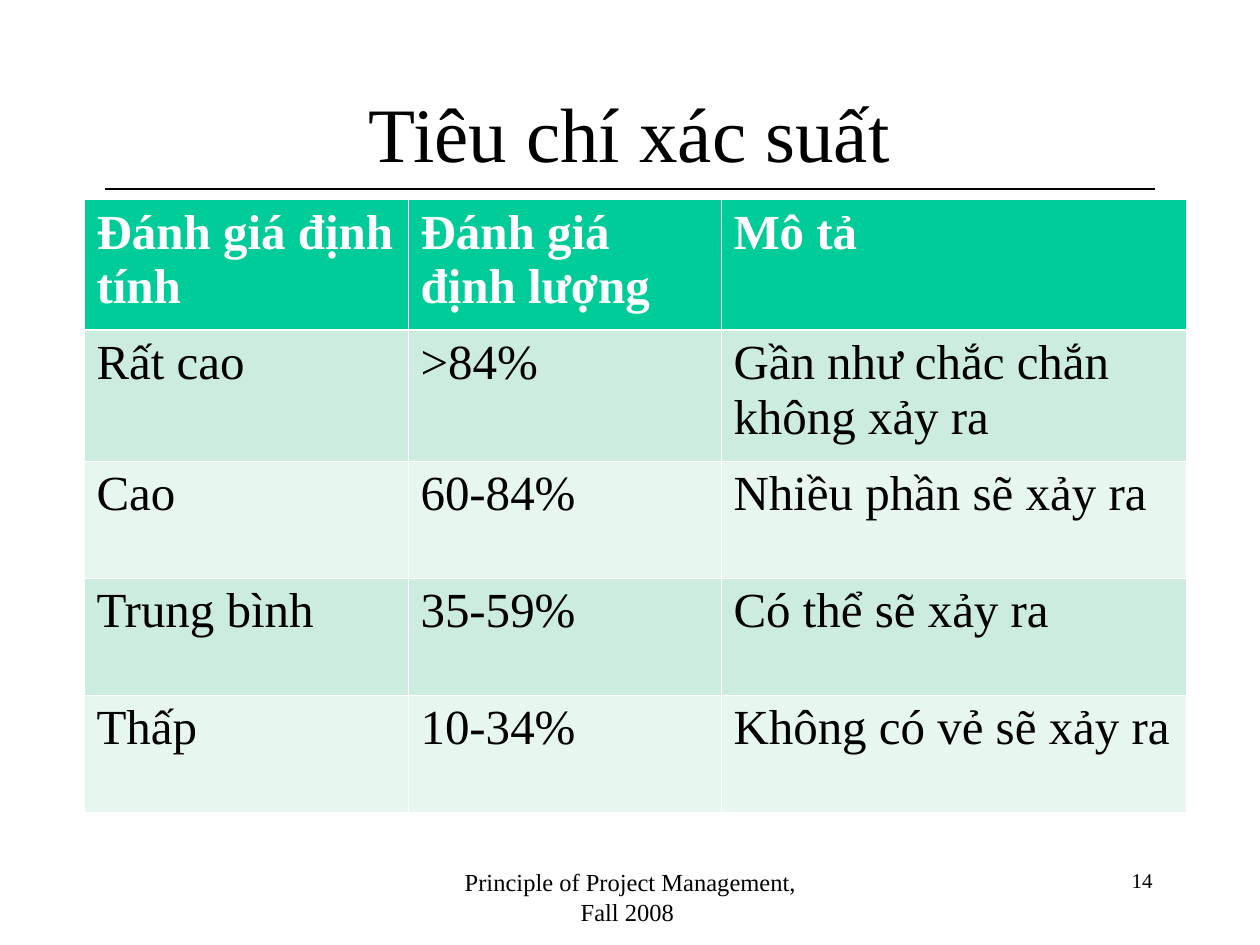
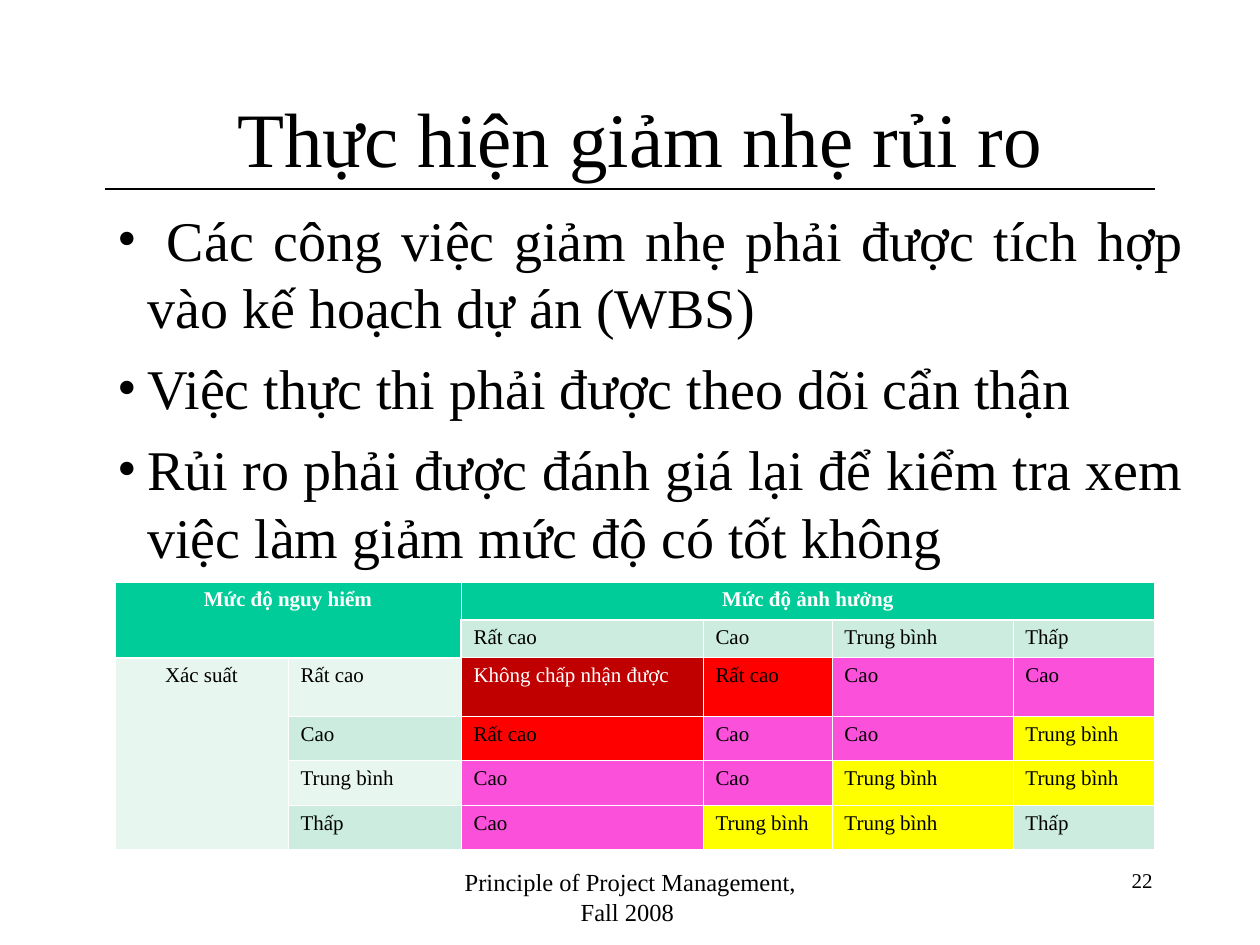
from lxml import etree
from pptx import Presentation
from pptx.dml.color import RGBColor
from pptx.enum.shapes import MSO_CONNECTOR
from pptx.enum.text import MSO_ANCHOR, PP_ALIGN
from pptx.oxml.ns import qn
from pptx.util import Pt

LEFT, MID, RIGHT, JUST = PP_ALIGN.LEFT, PP_ALIGN.CENTER, PP_ALIGN.RIGHT, PP_ALIGN.JUSTIFY
TOP, CENTRE = MSO_ANCHOR.TOP, MSO_ANCHOR.MIDDLE
STRAIGHT = MSO_CONNECTOR.STRAIGHT

BLACK = RGBColor(0x00, 0x00, 0x00)
WHITE = RGBColor(0xFF, 0xFF, 0xFF)
GREEN = RGBColor(0x00, 0xCC, 0x99)
MINT = RGBColor(0xCB, 0xEC, 0xDE)
PALE = RGBColor(0xE7, 0xF6, 0xEF)
MAROON = RGBColor(0xC0, 0x00, 0x00)
RED = RGBColor(0xFF, 0x00, 0x00)
PINK = RGBColor(0xFA, 0x50, 0xDA)
YELLOW = RGBColor(0xFF, 0xFF, 0x00)
FILLS = {"G": GREEN, "M": MINT, "P": PALE, "D": MAROON, "R": RED, "K": PINK, "Y": YELLOW}

FONT = "Times New Roman"
FOOTER = "Principle of Project Management, Fall 2008 "
SCALE = 914400 / 126
THIN, THICK = Pt(0.45), Pt(1.47)
SIDES = {"L": (0, -1), "R": (0, 1), "T": (-1, 0), "B": (1, 0)}


def write(frame, text, size=12, color=BLACK, bold=False, align=LEFT,
          anchor=TOP, before=0, bullet=0):
    """Fill a text frame, one paragraph a line; bullet is the hanging indent in px."""
    frame.word_wrap = True
    frame.vertical_anchor = anchor
    for i, line in enumerate(text.split("\n")):
        para = frame.add_paragraph() if i else frame.paragraphs[0]
        para.alignment, para.line_spacing, para.space_before = align, 1.0, Pt(before)
        run = para.add_run()
        run.text = line
        run.font.name, run.font.size, run.font.bold = FONT, Pt(size), bold
        run.font.color.rgb = color
        if bullet:
            props = para._p.get_or_add_pPr()
            indent = round(bullet * SCALE)
            props.set("marL", str(indent))
            props.set("indent", str(-indent))
            etree.SubElement(props, qn("a:buFont"), typeface=FONT)
            etree.SubElement(props, qn("a:buChar"), char="•")


def tabulate(slide, x, y, cols, rows, texts, codes, size, spans=()):
    """Add a table; codes holds one fill letter a cell, spans the merged corners."""
    box = [round(n * SCALE) for n in (x, y, sum(cols), sum(rows))]
    table = slide.shapes.add_table(len(rows), len(cols), *box).table
    table.first_row = table.horz_banding = False
    for col, width in zip(table.columns, cols):
        col.width = round(width * SCALE)
    for row, height in zip(table.rows, rows):
        row.height = round(height * SCALE)
    for r, line in enumerate(codes):
        for c, code in enumerate(line):
            cell = table.cell(r, c)
            props = cell._tc.get_or_add_tcPr()
            for side, (down, over) in SIDES.items():
                near_r, near_c = r + down, c + over
                inside = 0 <= near_r < len(rows) and 0 <= near_c < len(cols)
                edge = inside and (code == "G") != (codes[near_r][near_c] == "G")
                line_xml = etree.SubElement(props, qn("a:ln" + side),
                                            w=str(THICK if edge else THIN))
                solid = etree.SubElement(line_xml, qn("a:solidFill"))
                etree.SubElement(solid, qn("a:srgbClr"), val=str(WHITE))
            cell.fill.solid()
            cell.fill.fore_color.rgb = FILLS[code]
    for r, c, last_r, last_c in spans:
        table.cell(r, c).merge(table.cell(last_r, last_c))
    for r, line in enumerate(texts):
        for c, text in enumerate(line):
            if text:
                cell = table.cell(r, c)
                write(cell.text_frame, text, size=size,
                      color=WHITE if codes[r][c] in "GD" else BLACK,
                      bold=codes[r][c] == "G",
                      align=MID if cell.is_merge_origin else LEFT)


deck = Presentation()
deck.slide_width, deck.slide_height = round(1260 * SCALE), round(945 * SCALE)

heads = [
    ("14", "Tiêu chí xác suất", (94, 53, 1071, 157), CENTRE),
    ("22", "Thực hiện giảm nhẹ rủi ro", (94, 84, 1092, 106), TOP),
]
slides = []
for page, title, place, anchor in heads:
    slide = deck.slides.add_slide(deck.slide_layouts[6])
    slides.append(slide)
    ends = [round(n * SCALE) for n in (105, 189, 1155, 189)]
    rule = slide.shapes.add_connector(STRAIGHT, *ends)
    rule.line.color.rgb, rule.line.width = BLACK, Pt(0.75)
    etree.SubElement(rule._element.spPr, qn("a:effectLst"))
    parts = [
        ((431, 861, 399, 63), FOOTER, dict(size=14, align=MID)),
        ((903, 861, 262, 63), page, dict(size=12, align=RIGHT)),
        (place, title, dict(size=44, align=MID, anchor=anchor)),
    ]
    for box, text, style in parts:
        shape = slide.shapes.add_textbox(*[round(n * SCALE) for n in box])
        write(shape.text_frame, text, **style)

chance, relief = slides

tabulate(chance, 84, 199, [324, 313, 465], [131, 131, 117, 117, 117], [
    ["Đánh giá định tính", "Đánh giá định lượng", "Mô tả"],
    ["Rất cao", ">84%", "Gần như chắc chắn không xảy ra"],
    ["Cao", "60-84%", "Nhiều phần sẽ xảy ra"],
    ["Trung bình", "35-59%", "Có thể sẽ xảy ra"],
    ["Thấp", "10-34%", "Không có vẻ sẽ xảy ra"],
], ["GGG", "MMM", "PPP", "MMM", "PPP"], size=28)

points = "\n".join([
    " Các công việc giảm nhẹ phải được tích hợp vào kế hoạch dự án (WBS)",
    "Việc thực thi phải được theo dõi cẩn thận",
    "Rủi ro phải được đánh giá lại để kiểm tra xem việc làm giảm mức độ có tốt không",
])
body = relief.shapes.add_textbox(*[round(n * SCALE) for n in (105, 199, 1092, 377)])
write(body.text_frame, points, size=32, align=JUST, before=8, bullet=30)

tabulate(relief, 115, 582, [173, 173, 242, 129, 181, 142], [38, 37, 59, 44, 45, 44], [
    ["Mức độ nguy hiểm", "", "Mức độ ảnh hưởng", "", "", ""],
    ["", "", "Rất cao", "Cao", "Trung bình", "Thấp"],
    ["Xác suất", "Rất cao", "Không chấp nhận được", "Rất cao", "Cao", "Cao"],
    ["", "Cao", "Rất cao", "Cao", "Cao", "Trung bình"],
    ["", "Trung bình", "Cao", "Cao", "Trung bình", "Trung bình"],
    ["", "Thấp", "Cao", "Trung bình", "Trung bình", "Thấp"],
], ["GGGGGG", "GGMMMM", "PPDRKK", "PMRKKY", "PPKKYY", "PMKYYM"], size=12,
    spans=[(0, 0, 1, 1), (0, 2, 0, 5), (2, 0, 5, 0)])

deck.save("out.pptx")
